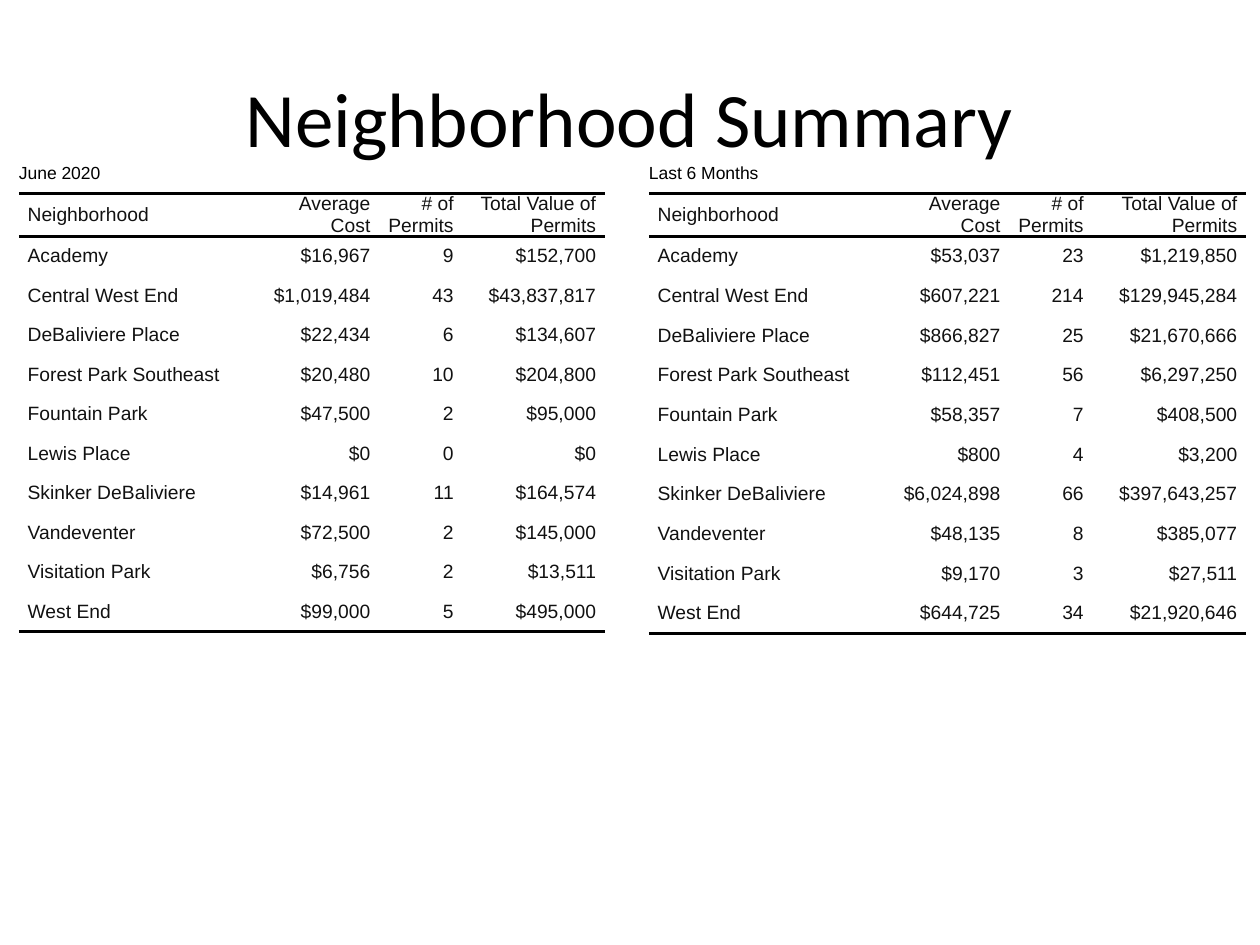
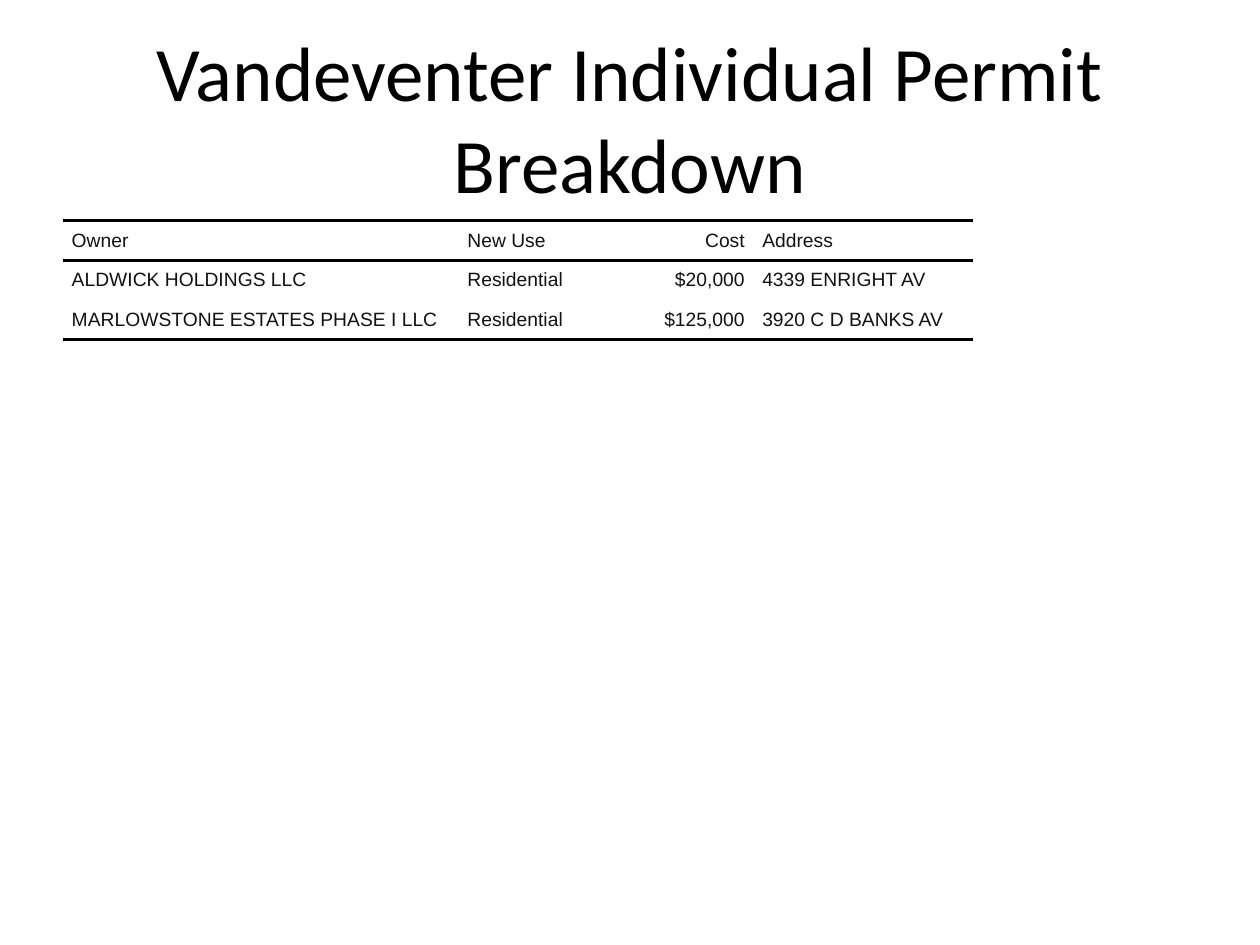
from lxml.etree import SubElement
from pptx import Presentation
from pptx.dml.color import RGBColor
from pptx.enum.text import MSO_ANCHOR as Anchor, PP_ALIGN as Align
from pptx.oxml.ns import qn
from pptx.util import Pt

BLACK = RGBColor(0x00, 0x00, 0x00)
INK = RGBColor(0x11, 0x11, 0x11)
TITLE_FONT, TABLE_FONT = "Calibri", "Arial"
PLAIN_STYLE = "{2D5ABB26-0587-4C30-8999-92F81FD0307C}"
TITLE_BOX = (36, 21.6, 648, 90)
TITLE_ONLY = 5
INDENT, RULE = 5, 2

PERMIT_HEADER = ("Neighborhood", "Average Cost", "# of Permits", "Total Value of Permits")
JUNE = [
    ("Academy", "$16,967", "9", "$152,700"),
    ("Central West End", "$1,019,484", "43", "$43,837,817"),
    ("DeBaliviere Place", "$22,434", "6", "$134,607"),
    ("Forest Park Southeast", "$20,480", "10", "$204,800"),
    ("Fountain Park", "$47,500", "2", "$95,000"),
    ("Lewis Place", "$0", "0", "$0"),
    ("Skinker DeBaliviere", "$14,961", "11", "$164,574"),
    ("Vandeventer", "$72,500", "2", "$145,000"),
    ("Visitation Park", "$6,756", "2", "$13,511"),
    ("West End", "$99,000", "5", "$495,000"),
]
SIX_MONTHS = [
    ("Academy", "$53,037", "23", "$1,219,850"),
    ("Central West End", "$607,221", "214", "$129,945,284"),
    ("DeBaliviere Place", "$866,827", "25", "$21,670,666"),
    ("Forest Park Southeast", "$112,451", "56", "$6,297,250"),
    ("Fountain Park", "$58,357", "7", "$408,500"),
    ("Lewis Place", "$800", "4", "$3,200"),
    ("Skinker DeBaliviere", "$6,024,898", "66", "$397,643,257"),
    ("Vandeventer", "$48,135", "8", "$385,077"),
    ("Visitation Park", "$9,170", "3", "$27,511"),
    ("West End", "$644,725", "34", "$21,920,646"),
]
OWNERS_HEADER = ("Owner", "New Use", "Cost", "Address")
OWNERS = [
    ("ALDWICK HOLDINGS LLC", "Residential", "$20,000", "4339 ENRIGHT AV"),
    ("MARLOWSTONE ESTATES PHASE I LLC", "Residential", "$125,000", "3920 C D BANKS AV"),
]

SLIDES = [
    ("Neighborhood Summary", [
        dict(caption="June 2020", header=PERMIT_HEADER, records=JUNE, left=10.8, top=87.8,
             widths=(130.3, 75.6, 47.6, 81.4), aligns="lrrr", row_height=22.6),
        dict(caption="Last 6 Months", header=PERMIT_HEADER, records=SIX_MONTHS, left=370.8,
             top=87.8, widths=(130.3, 75.6, 47.6, 87.8), aligns="lrrr", row_height=22.7),
    ]),
    ("Vandeventer Individual Permit Breakdown", [
        dict(header=OWNERS_HEADER, records=OWNERS, left=36, top=126,
             widths=(226.1, 74.9, 93.6, 125.3), aligns="llrl", row_height=22.7),
    ]),
]


def write(tf, text, font=TABLE_FONT, size=11, color=INK, align=Align.LEFT, indent=0, space=0):
    p = tf.paragraphs[0]
    p.alignment = align
    if indent:
        pPr = p._p.get_or_add_pPr()
        for side in ("marL", "marR"):
            pPr.set(side, str(Pt(indent)))
        pPr.set("indent", "0")
    if space:
        p.space_before = p.space_after = Pt(space)
    r = p.add_run()
    r.text = text
    r.font.name, r.font.size, r.font.color.rgb = font, Pt(size), color


def style_cell(cell, rules=()):
    """Clear margins and fill; draw a rule on each named side (lnT, lnB)."""
    cell.margin_left = cell.margin_right = cell.margin_top = cell.margin_bottom = 0
    cell.vertical_anchor = Anchor.MIDDLE
    tcPr = cell._tc.get_or_add_tcPr()
    for side in rules:
        ln = SubElement(tcPr, qn(f"a:{side}"), w=str(Pt(RULE)))
        fill = SubElement(ln, qn("a:solidFill"))
        SubElement(fill, qn("a:srgbClr"), val=str(BLACK))
    cell.fill.background()


def add_permit_table(slide, header, records, left, top, widths, aligns, row_height, caption=None):
    head = 1 if caption else 0
    rows = [header, *records]
    count = head + len(rows)
    frame = slide.shapes.add_table(count, len(widths), Pt(left), Pt(top),
                                   Pt(sum(widths)), Pt(row_height * count))
    frame._element.graphic.graphicData.tbl.tblPr.find(qn("a:tableStyleId")).text = PLAIN_STYLE
    table = frame.table
    table.first_row = table.horz_banding = False
    for column, width in zip(table.columns, widths):
        column.width = Pt(width)
    for row in table.rows:
        row.height = Pt(row_height)

    if caption:
        table.cell(0, 0).merge(table.cell(0, len(widths) - 1))
        style_cell(table.cell(0, 0))
        write(table.cell(0, 0).text_frame, caption, size=10, color=BLACK)
    for i, values in enumerate(rows):
        rules = {0: ("lnT", "lnB"), len(records): ("lnB",)}.get(i, ())
        for j, (value, side) in enumerate(zip(values, aligns)):
            cell = table.cell(head + i, j)
            style_cell(cell, rules)
            write(cell.text_frame, value, align=Align.RIGHT if side == "r" else Align.LEFT,
                  indent=INDENT, space=2)


def add_titled_slide(prs, title):
    slide = prs.slides.add_slide(prs.slide_layouts[TITLE_ONLY])
    sp = slide.shapes.title
    sp.left, sp.top, sp.width, sp.height = map(Pt, TITLE_BOX)
    sp.text_frame.vertical_anchor = Anchor.MIDDLE
    write(sp.text_frame, title, font=TITLE_FONT, size=44, color=BLACK, align=Align.CENTER)
    return slide


def main():
    prs = Presentation()
    prs.slide_width, prs.slide_height = Pt(720), Pt(540)
    for title, tables in SLIDES:
        slide = add_titled_slide(prs, title)
        for table in tables:
            add_permit_table(slide, **table)
    prs.save("out.pptx")


if __name__ == "__main__":
    main()
